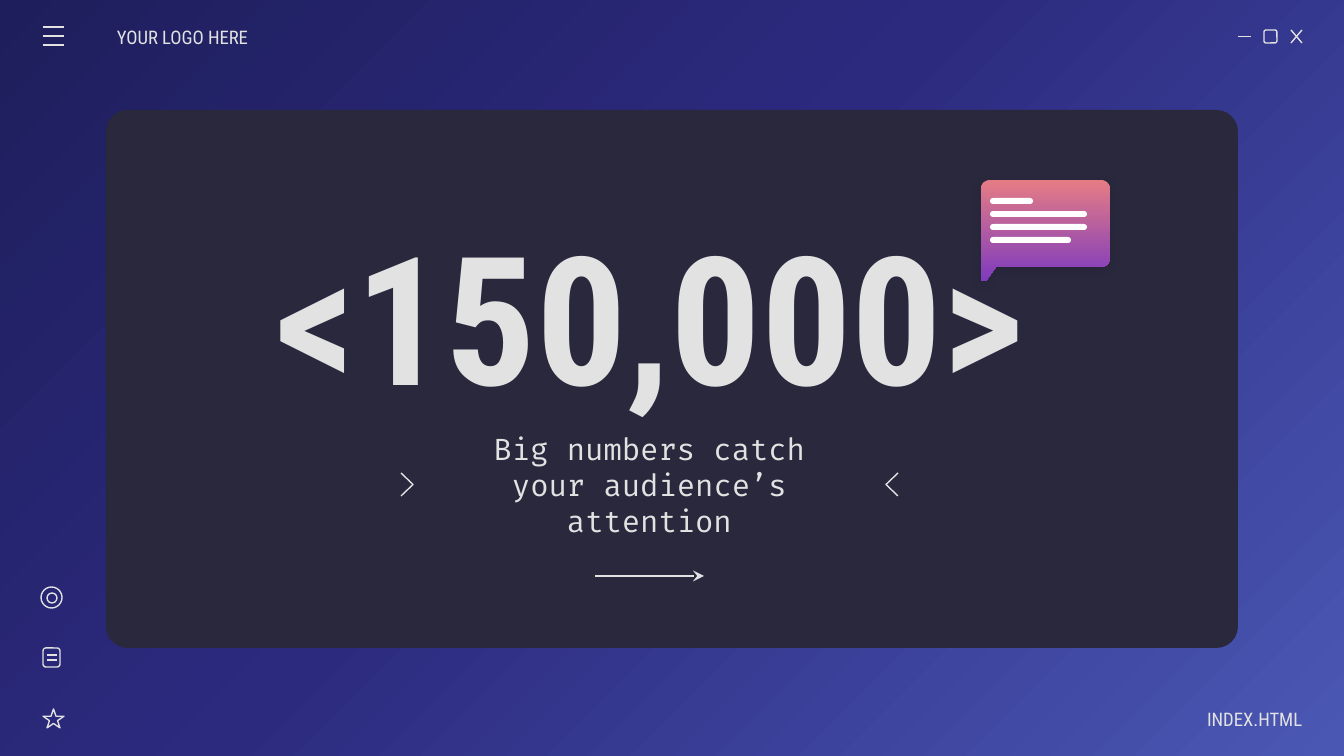
from copy import deepcopy
from math import cos, radians, sin

from lxml import etree
from pptx import Presentation
from pptx.dml.color import RGBColor
from pptx.enum.shapes import MSO_CONNECTOR, MSO_SHAPE
from pptx.enum.text import MSO_ANCHOR, PP_ALIGN
from pptx.oxml.ns import qn
from pptx.util import Pt

EMU_PER_PX = 914400 / 134.4
STRAIGHT = MSO_CONNECTOR.STRAIGHT
RECT, ROUND_RECT = MSO_SHAPE.RECTANGLE, MSO_SHAPE.ROUNDED_RECTANGLE
OVAL, STAR = MSO_SHAPE.OVAL, MSO_SHAPE.STAR_5_POINT
LEFT, CENTER, RIGHT = PP_ALIGN.LEFT, PP_ALIGN.CENTER, PP_ALIGN.RIGHT
MIDDLE = MSO_ANCHOR.MIDDLE

COLORS = {
    "bg_dark": "1E1E5C", "bg_mid": "2C2A7F", "bg_light": "4A58B4",
    "panel": "29283D", "ink": "E2E2E2", "white": "FFFFFF",
    "coral": "E57C85", "purple": "7E3BBE", "shadow": "1E1E2C",
}
HEADING_FONT, BODY_FONT = "Roboto Condensed", "Fira Code"


def px(n):
    return round(n * EMU_PER_PX)


def rgb(name):
    return RGBColor.from_string(COLORS[name])


def set_gradient(fill, element, stops, angle):
    """Fill with (position, colour) stops; element holds the fill's XML."""
    fill.gradient()
    fill.gradient_angle = angle
    gs_list = element.find(".//" + qn("a:gsLst"))
    while len(gs_list) < len(stops):
        gs_list.append(deepcopy(gs_list[0]))
    for stop, (position, color) in zip(fill.gradient_stops, stops):
        stop.position = position
        stop.color.rgb = rgb(color)


def style(shape, fill=None, line=None):
    shape.shadow.inherit = False
    if fill:
        shape.fill.solid()
        shape.fill.fore_color.rgb = rgb(fill)
    else:
        shape.fill.background()
    if line:
        shape.line.color.rgb = rgb(line)
        shape.line.width = Pt(0.75)
    else:
        shape.line.fill.background()
    return shape


def add_preset(slide, kind, x, y, w, h, fill=None, line=None):
    s = slide.shapes.add_shape(kind, px(x), px(y), px(w), px(h))
    return style(s, fill, line)


def add_line(slide, x1, y1, x2, y2):
    c = slide.shapes.add_connector(STRAIGHT, px(x1), px(y1), px(x2), px(y2))
    c.line.color.rgb = rgb("ink")
    c.line.width = Pt(0.75)
    etree.SubElement(c._element.spPr, qn("a:effectLst"))
    return c


def add_outline(slide, points, close):
    start, *rest = [(px(x), px(y)) for x, y in points]
    builder = slide.shapes.build_freeform(*start)
    builder.add_line_segments(rest, close=close)
    return builder.convert_to_shape()


def add_text(slide, text, x, y, w, h, size, font, align=CENTER, bold=False):
    tf = slide.shapes.add_textbox(px(x), px(y), px(w), px(h)).text_frame
    tf.word_wrap = True
    tf.vertical_anchor = MIDDLE
    tf.margin_top = tf.margin_bottom = px(13)
    tf.margin_left = 0 if align == LEFT else px(13)
    tf.margin_right = 0 if align == RIGHT else px(13)
    tf.text = text
    p = tf.paragraphs[0]
    p.alignment = align
    r = p.runs[0]
    r.font.name, r.font.size, r.font.bold = font, Pt(size), bold
    r.font.color.rgb = rgb("ink")


def add_menu_icon(slide, x, y, w, gap):
    for i in range(3):
        add_line(slide, x, y + i * gap, x + w, y + i * gap)


def add_window_buttons(slide, x, y, size):
    add_line(slide, x, y + size / 2, x + size, y + size / 2)
    add_preset(slide, ROUND_RECT, x + 26, y, size, size, line="ink")
    left, right = x + 53, x + 64
    add_line(slide, left, y, right, y + size)
    add_line(slide, right, y, left, y + size)


def add_side_icons(slide, x, y, pitch):
    """Stack the target, document and star icons, pitch apart."""
    add_preset(slide, OVAL, x, y, 21, 21, line="ink")
    add_preset(slide, OVAL, x + 6, y + 6, 10, 10, line="ink")
    doc_y = y + pitch
    add_preset(slide, ROUND_RECT, x + 2, doc_y, 17, 19, line="ink")
    for dy in (7, 12):
        add_line(slide, x + 6, doc_y + dy, x + 16, doc_y + dy)
    add_preset(slide, STAR, x + 2, y + 2 * pitch, 21, 19, line="ink")


def add_speech_bubble(slide, x, y, w, h):
    body, radius = h - 14, 9
    corners = [(radius, radius, 180), (w - radius, radius, 270),
               (w - radius, body - radius, 0)]
    points = [(x + cx + radius * cos(radians(start + turn)),
               y + cy + radius * sin(radians(start + turn)))
              for cx, cy, start in corners for turn in range(0, 91, 10)]
    points += [(x + 15, y + body), (x + 5, y + h), (x, y + h)]
    s = style(add_outline(slide, points, True))
    set_gradient(s.fill, s._element, [(0, "coral"), (1, "purple")], 270)
    effects = s._element.spPr.find(qn("a:effectLst"))
    shadow = etree.SubElement(effects, qn("a:outerShdw"), blurRad=str(Pt(4.5)),
                              dist=str(Pt(1.5)), dir="5400000", rotWithShape="0")
    color = etree.SubElement(shadow, qn("a:srgbClr"), val=COLORS["shadow"])
    etree.SubElement(color, qn("a:alpha"), val="30000")
    for i, width in enumerate((43, 97, 97, 81)):
        bar = add_preset(slide, ROUND_RECT, x + 9, y + 18 + 13 * i, width, 6, "white")
        bar.adjustments[0] = 0.5


def add_chevron(slide, x, y, w, h):
    """Draw an open chevron; a negative width points it left."""
    points = [(x, y), (x + w, y + h / 2), (x, y + h)]
    style(add_outline(slide, points, False), line="ink")


def add_big_number(slide, x, y, w, h):
    panel = add_preset(slide, ROUND_RECT, x, y, w, h, "panel")
    panel.adjustments[0] = 0.04
    add_text(slide, "<150,000>", x + 148, y + 94, 792, 220, 96, HEADING_FONT, bold=True)
    add_text(slide, "Big numbers catch your audience’s attention",
             x + 329, y + 331, 429, 87, 16, BODY_FONT)
    add_speech_bubble(slide, x + 875, y + 70, 129, 101)
    add_chevron(slide, x + 295, y + 363, 12, 23)
    add_chevron(slide, x + 792, y + 363, -12, 23)
    arrow = add_line(slide, x + 489, y + 466, x + 598, y + 466)
    ln = arrow.line._get_or_add_ln()
    etree.SubElement(ln, qn("a:tailEnd"), type="stealth")


def main():
    prs = Presentation()
    prs.slide_width, prs.slide_height = px(1344), px(756)
    slide = prs.slides.add_slide(prs.slide_layouts[6])
    set_gradient(slide.background.fill, slide._element,
                 [(0, "bg_dark"), (0.46, "bg_mid"), (1, "bg_light")], 315)
    add_big_number(slide, 106, 110, 1132, 538)
    add_menu_icon(slide, 43, 27, 21, 9)
    add_text(slide, "YOUR LOGO HERE", 117, 17, 157, 40, 10, HEADING_FONT, LEFT)
    add_window_buttons(slide, 1238, 30, 13)
    add_side_icons(slide, 41, 587, 61)
    add_text(slide, "INDEX.HTML", 1145, 699, 157, 40, 10, HEADING_FONT, RIGHT)
    prs.save("out.pptx")


if __name__ == "__main__":
    main()
